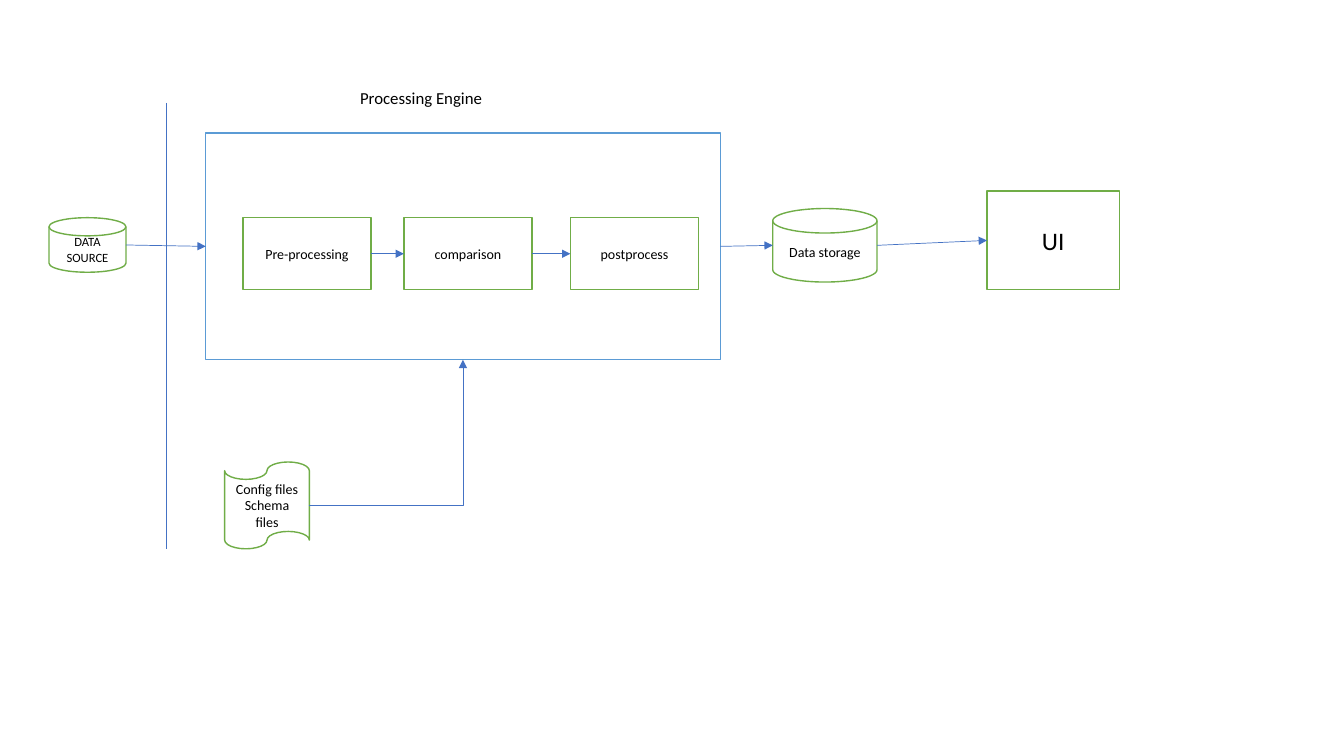
from dataclasses import dataclass

from lxml.etree import SubElement
from pptx import Presentation
from pptx.dml.color import RGBColor
from pptx.enum.shapes import MSO_CONNECTOR, MSO_SHAPE
from pptx.enum.text import MSO_ANCHOR, MSO_AUTO_SIZE, PP_ALIGN
from pptx.oxml.ns import qn
from pptx.util import Pt


@dataclass(frozen=True)
class Theme:
    font: str = "Calibri"
    text: RGBColor = RGBColor(0x00, 0x00, 0x00)
    fill: RGBColor = RGBColor(0xFF, 0xFF, 0xFF)
    node: RGBColor = RGBColor(0x70, 0xAD, 0x47)
    engine: RGBColor = RGBColor(0x5B, 0x9B, 0xD5)
    arrow: RGBColor = RGBColor(0x44, 0x72, 0xC4)
    node_line: float = 1
    arrow_line: float = 0.5
    small: int = 9
    body: int = 10
    heading: int = 12
    large: int = 18


THEME = Theme()
TOP, LEFT, BOTTOM, RIGHT = range(4)


def write_text(text_frame, text, size=THEME.body, align=PP_ALIGN.CENTER, anchor=MSO_ANCHOR.MIDDLE):
    text_frame.text = text
    text_frame.word_wrap = True
    text_frame.vertical_anchor = anchor
    for paragraph in text_frame.paragraphs:
        paragraph.alignment = align
        paragraph.font.name = THEME.font
        paragraph.font.size = Pt(size)
        paragraph.font.color.rgb = THEME.text


def add_title(slide, text, left, top, width, height):
    title = slide.shapes.title
    title.left, title.top, title.width, title.height = Pt(left), Pt(top), Pt(width), Pt(height)
    write_text(title.text_frame, text, size=THEME.heading, align=PP_ALIGN.LEFT, anchor=MSO_ANCHOR.TOP)
    title.text_frame.auto_size = MSO_AUTO_SIZE.SHAPE_TO_FIT_TEXT


def add_node(slide, kind, left, top, width, height, text="", size=THEME.body, line=THEME.node):
    shape = slide.shapes.add_shape(kind, Pt(left), Pt(top), Pt(width), Pt(height))
    shape.shadow.inherit = False
    shape.fill.solid()
    shape.fill.fore_color.rgb = THEME.fill
    shape.line.color.rgb = line
    shape.line.width = Pt(THEME.node_line)
    if text:
        write_text(shape.text_frame, text, size=size)
    return shape


def side_point(shape, side):
    middle_x = shape.left + shape.width // 2
    middle_y = shape.top + shape.height // 2
    return {
        TOP: (middle_x, shape.top),
        LEFT: (shape.left, middle_y),
        BOTTOM: (middle_x, shape.top + shape.height),
        RIGHT: (shape.left + shape.width, middle_y),
    }[side]


def add_line(slide, start, end, kind=MSO_CONNECTOR.STRAIGHT):
    connector = slide.shapes.add_connector(kind, *start, *end)
    connector.line.color.rgb = THEME.arrow
    connector.line.width = Pt(THEME.arrow_line)
    SubElement(connector._element.spPr, qn("a:effectLst"))
    return connector


def add_arrow(slide, source, target, source_side=RIGHT, target_side=LEFT, kind=MSO_CONNECTOR.STRAIGHT):
    connector = add_line(slide, side_point(source, source_side), side_point(target, target_side), kind)
    SubElement(connector.line._get_or_add_ln(), qn("a:tailEnd"), type="triangle")
    disk = MSO_SHAPE.FLOWCHART_MAGNETIC_DISK
    if source.auto_shape_type != disk:
        connector.begin_connect(source, source_side)
    if target.auto_shape_type != disk:
        connector.end_connect(target, target_side)
    return connector


def main():
    presentation = Presentation()
    presentation.slide_width, presentation.slide_height = Pt(960), Pt(540)
    slide = presentation.slides.add_slide(presentation.slide_layouts[5])

    add_title(slide, "Processing Engine", 250, 59, 161, 21.8)
    add_line(slide, (Pt(119), Pt(73.5)), (Pt(119), Pt(392)))

    disk = MSO_SHAPE.FLOWCHART_MAGNETIC_DISK
    data_source = add_node(slide, disk, 35, 155.5, 55, 39, "DATA SOURCE", size=THEME.small)
    engine = add_node(slide, MSO_SHAPE.RECTANGLE, 147, 95, 367.5, 162, line=THEME.engine)
    steps = [
        add_node(slide, MSO_SHAPE.RECTANGLE, left, 155.5, 91.5, 51.5, text)
        for left, text in ((173.5, "Pre-processing"), (288.5, "comparison"), (407.5, "postprocess"))
    ]
    storage = add_node(slide, disk, 552, 149, 74.5, 52.5, "Data storage")
    files = add_node(
        slide, MSO_SHAPE.FLOWCHART_PUNCHED_TAPE, 160.5, 330, 60.5, 62, "Config files\nSchema files"
    )
    interface = add_node(
        slide, MSO_SHAPE.FLOWCHART_PROCESS, 705, 136.5, 94.5, 70.5, "UI", size=THEME.large
    )

    flow = [(data_source, engine), *zip(steps, steps[1:]), (engine, storage), (storage, interface)]
    for source, target in flow:
        add_arrow(slide, source, target)
    elbow = add_arrow(slide, files, engine, target_side=BOTTOM, kind=MSO_CONNECTOR.ELBOW)
    elbow._element.spPr.find(qn("a:prstGeom")).set("prst", "bentConnector2")

    presentation.save("out.pptx")


if __name__ == "__main__":
    main()
